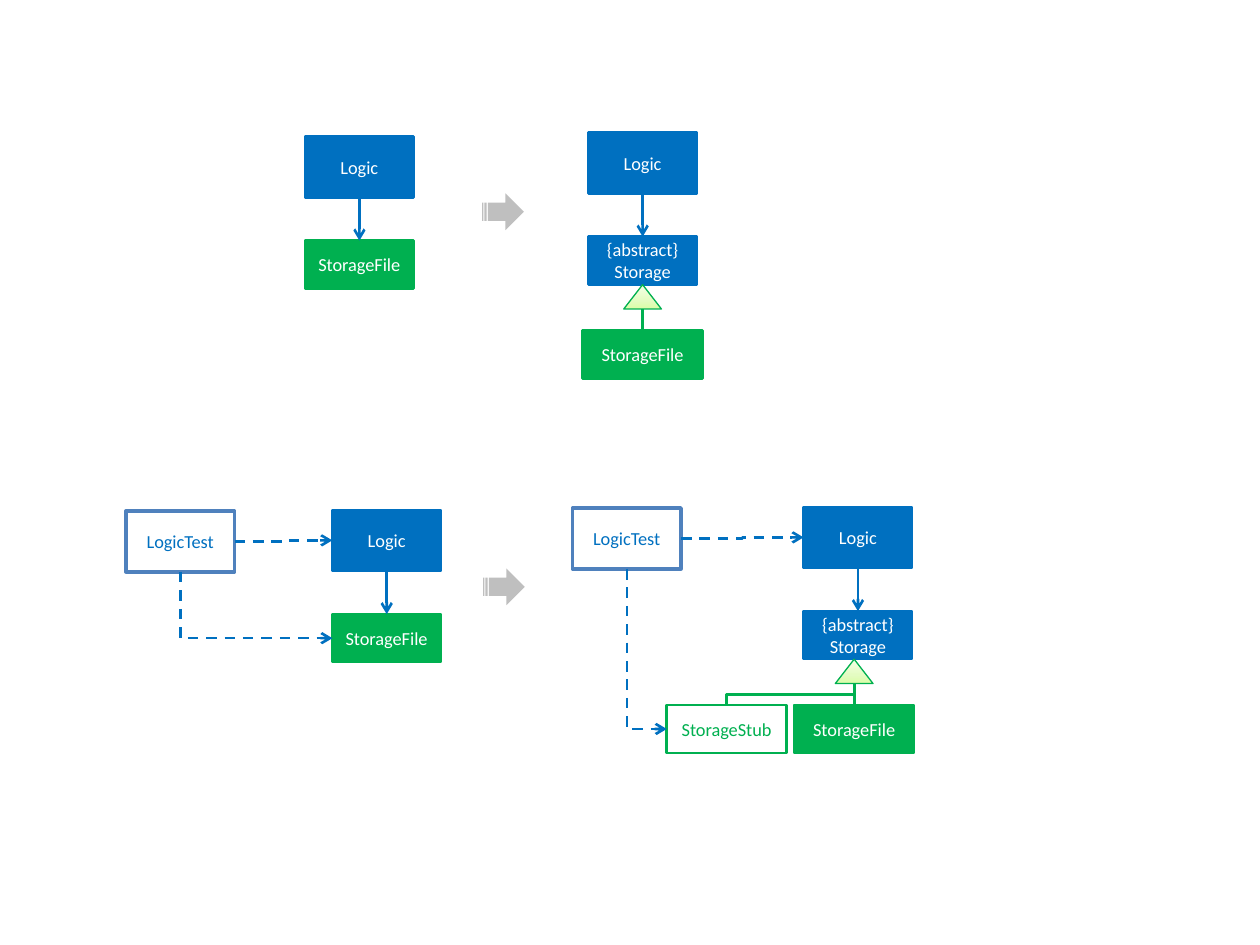
from dataclasses import dataclass

from lxml import etree
from pptx import Presentation
from pptx.dml.color import RGBColor
from pptx.enum.dml import MSO_LINE
from pptx.enum.shapes import MSO_CONNECTOR, MSO_SHAPE
from pptx.enum.text import MSO_ANCHOR, PP_ALIGN
from pptx.oxml import parse_xml
from pptx.oxml.ns import nsdecls, qn
from pptx.util import Cm, Pt

RECT = MSO_SHAPE.RECTANGLE
TRIANGLE = MSO_SHAPE.ISOSCELES_TRIANGLE
STRIPED_ARROW = MSO_SHAPE.STRIPED_RIGHT_ARROW
STRAIGHT = MSO_CONNECTOR.STRAIGHT
ELBOW = MSO_CONNECTOR.ELBOW
DASH = MSO_LINE.DASH
CENTER = PP_ALIGN.CENTER
MIDDLE = MSO_ANCHOR.MIDDLE
TOP, LEFT, BOTTOM, RIGHT = range(4)


@dataclass(frozen=True)
class Theme:
    font: str = "Calibri"
    size: float = 10.5
    line: float = 1.5
    test_line: float = 2
    thin_line: float = 0.75
    blue: str = "0070C0"
    steel: str = "4F81BD"
    green: str = "00B050"
    white: str = "FFFFFF"
    gray: str = "BFBFBF"
    gradient: tuple = ((0, "DAFDA7"), (35, "E4FCC2"), (100, "F5FFE7"))


THEME = Theme()
BOX_W, TALL, SHORT = Cm(2.19), Cm(1.23), Cm(0.97)
FILE_W = Cm(2.42)
STORAGE_DROP = Cm(2.1)
FILE_DROP = Cm(0.92)
HEAD_W, HEAD_H = Cm(0.76), Cm(0.49)


def rgb(color):
    return RGBColor.from_string(color)


def add_box(s, text, x, y, w, h, fill, line, color=THEME.white, width=THEME.line):
    sp = s.shapes.add_shape(RECT, x, y, w, h)
    sp.shadow.inherit = False
    if fill:
        sp.fill.solid()
        sp.fill.fore_color.rgb = rgb(fill)
    else:
        sp.fill.background()
    sp.line.color.rgb = rgb(line)
    sp.line.width = Pt(width)
    tf = sp.text_frame
    tf.word_wrap = True
    tf.vertical_anchor = MIDDLE
    tf.margin_left = tf.margin_right = 0
    p = tf.paragraphs[0]
    p.text = text
    p.alignment = CENTER
    for r in p.runs:
        r.font.name = THEME.font
        r.font.size = Pt(THEME.size)
        r.font.color.rgb = rgb(color)
    return sp


def add_line(s, kind, color, start=(0, 0), end=(0, 0)):
    cxn = s.shapes.add_connector(kind, *start, *end)
    cxn.line.color.rgb = rgb(color)
    cxn.line.width = Pt(THEME.line)
    etree.SubElement(cxn._element.spPr, qn("a:effectLst"))
    return cxn


def add_link(s, source, source_site, target, target_site, kind=STRAIGHT, dashed=False):
    cxn = add_line(s, kind, THEME.blue)
    cxn.begin_connect(source, source_site)
    cxn.end_connect(target, target_site)
    if dashed:
        cxn.line.dash_style = DASH
    etree.SubElement(cxn.line._get_or_add_ln(), qn("a:tailEnd"), type="arrow")
    return cxn


def route_down_first(cxn, preset):
    x1, y1, x2, y2 = cxn.begin_x, cxn.begin_y, cxn.end_x, cxn.end_y
    across, down = abs(x2 - x1), y2 - y1
    spPr = cxn._element.spPr
    xfrm = spPr.find(qn("a:xfrm"))
    for flip in ("flipH", "flipV"):
        xfrm.attrib.pop(flip, None)
    spPr.find(qn("a:prstGeom")).set("prst", preset)
    cxn.left, cxn.top = (x1 + x2 - down) // 2, (y1 + y2 - across) // 2
    cxn.width, cxn.height = down, across
    cxn.rotation = 270 if x2 > x1 else 90
    if x2 > x1:
        xfrm.set("flipH", "1")


def add_head(s, center, y):
    sp = s.shapes.add_shape(TRIANGLE, center - HEAD_W // 2, y, HEAD_W, HEAD_H)
    sp.shadow.inherit = False
    sp.fill.gradient()
    sp.fill.gradient_angle = 90
    stops = "".join(
        f'<a:gs pos="{pos * 1000}"><a:srgbClr val="{color}"/></a:gs>'
        for pos, color in THEME.gradient
    )
    grad = sp._element.spPr.find(qn("a:gradFill"))
    grad.replace(grad.find(qn("a:gsLst")),
                 parse_xml(f'<a:gsLst {nsdecls("a")}>{stops}</a:gsLst>'))
    sp.line.color.rgb = rgb(THEME.green)
    sp.line.width = Pt(THEME.thin_line)


def add_stack(s, x, y, storage_text, storage_color):
    logic = add_box(s, "Logic", x, y, BOX_W, TALL, THEME.blue, THEME.blue)
    storage = add_box(s, storage_text, x, y + STORAGE_DROP, BOX_W, SHORT,
                      storage_color, storage_color)
    add_link(s, logic, BOTTOM, storage, TOP)
    return logic, storage


def add_storage_file(s, storage, center):
    y = storage.top + storage.height
    child = add_box(s, "StorageFile", center - FILE_W // 2, y + FILE_DROP,
                    FILE_W, SHORT, THEME.green, THEME.green)
    add_head(s, center, y)
    add_line(s, STRAIGHT, THEME.green, (center, y + HEAD_H), (center, child.top))
    return child


def add_storage_stub(s, x, sibling):
    stub = add_box(s, "StorageStub", x, sibling.top, FILE_W, SHORT,
                   None, THEME.green, THEME.green)
    start = (sibling.left + FILE_W // 2, sibling.top - FILE_DROP + HEAD_H)
    cxn = add_line(s, ELBOW, THEME.green, start, (x + FILE_W // 2, stub.top))
    route_down_first(cxn, "bentConnector3")
    return stub


def add_test(s, x, y, logic, dependency):
    test = add_box(s, "LogicTest", x, y, BOX_W, TALL, THEME.white, THEME.steel,
                   THEME.blue, THEME.test_line)
    add_link(s, test, RIGHT, logic, LEFT, ELBOW, dashed=True)
    cxn = add_link(s, test, BOTTOM, dependency, LEFT, ELBOW, dashed=True)
    route_down_first(cxn, "bentConnector2")


def add_step_arrow(s, x, y):
    sp = s.shapes.add_shape(STRIPED_ARROW, x, y, Cm(0.84), Cm(0.74))
    sp.shadow.inherit = False
    sp.fill.solid()
    sp.fill.fore_color.rgb = rgb(THEME.gray)
    sp.line.fill.background()


def main():
    prs = Presentation()
    prs.slide_width, prs.slide_height = Cm(25.4), Cm(19.05)
    s = prs.slides.add_slide(prs.slide_layouts[6])
    abstract = "{abstract}\vStorage"

    add_stack(s, Cm(6.15), Cm(2.75), "StorageFile", THEME.green)
    add_step_arrow(s, Cm(9.72), Cm(3.9))
    _, storage = add_stack(s, Cm(11.86), Cm(2.67), abstract, THEME.blue)
    add_storage_file(s, storage, storage.left + BOX_W // 2)

    logic, storage = add_stack(s, Cm(6.7), Cm(10.28), "StorageFile", THEME.green)
    add_test(s, Cm(2.54), Cm(10.3), logic, storage)
    add_step_arrow(s, Cm(9.74), Cm(11.46))
    logic, storage = add_stack(s, Cm(16.2), Cm(10.22), abstract, THEME.blue)
    storage_file = add_storage_file(s, storage, Cm(17.22))
    stub = add_storage_stub(s, Cm(13.44), storage_file)
    add_test(s, Cm(11.54), Cm(10.24), logic, stub)

    prs.save("out.pptx")


main()
